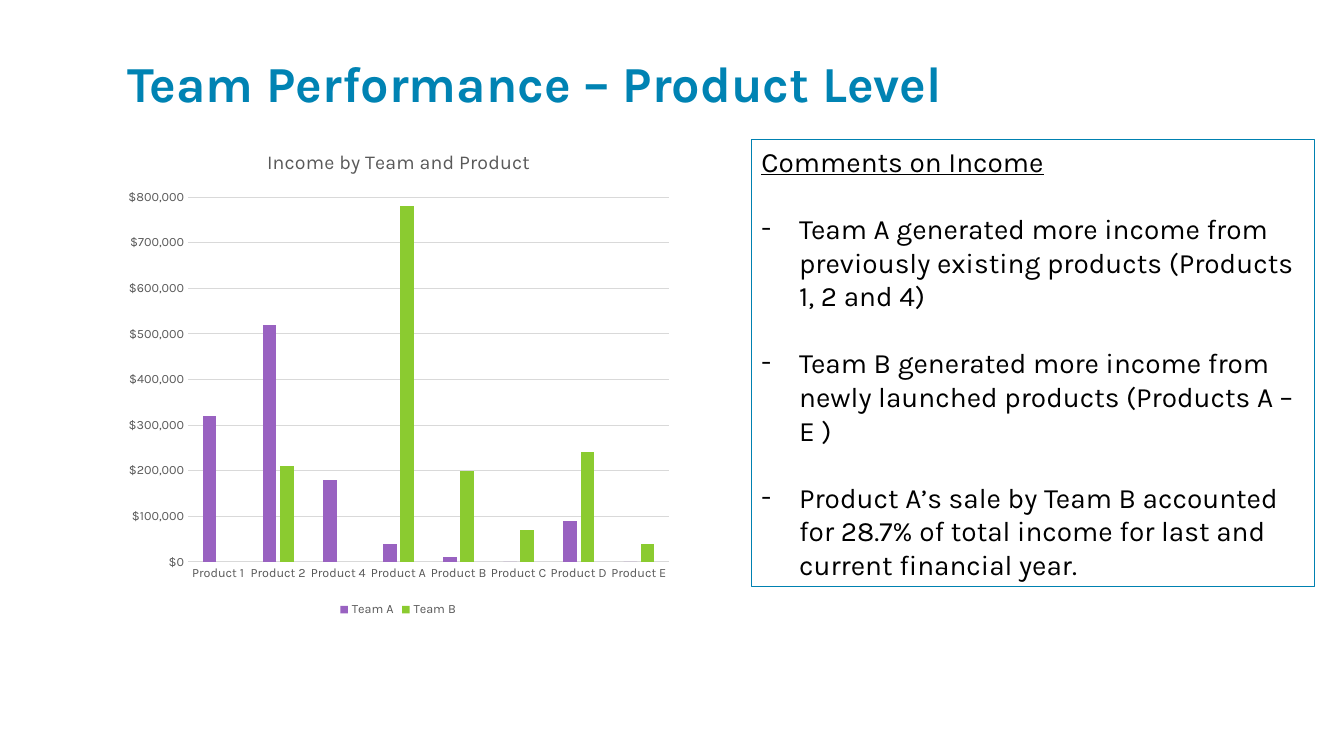
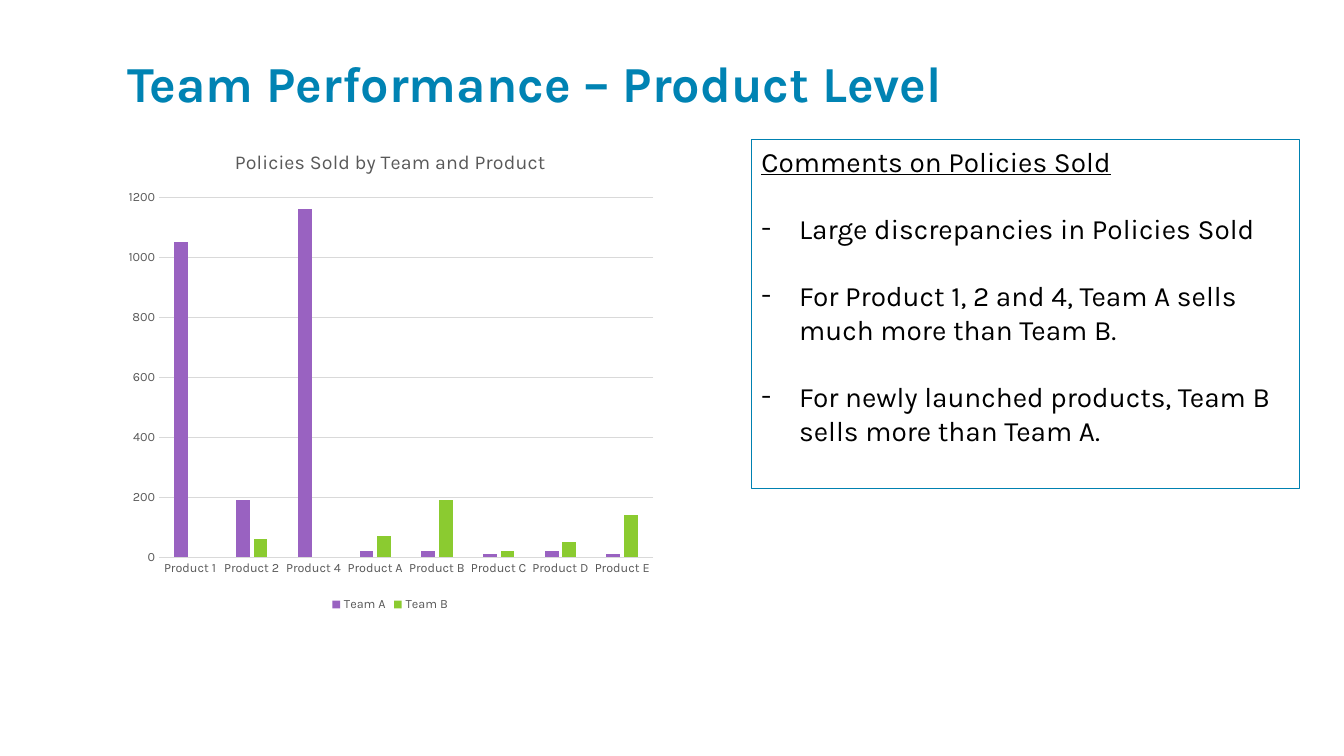
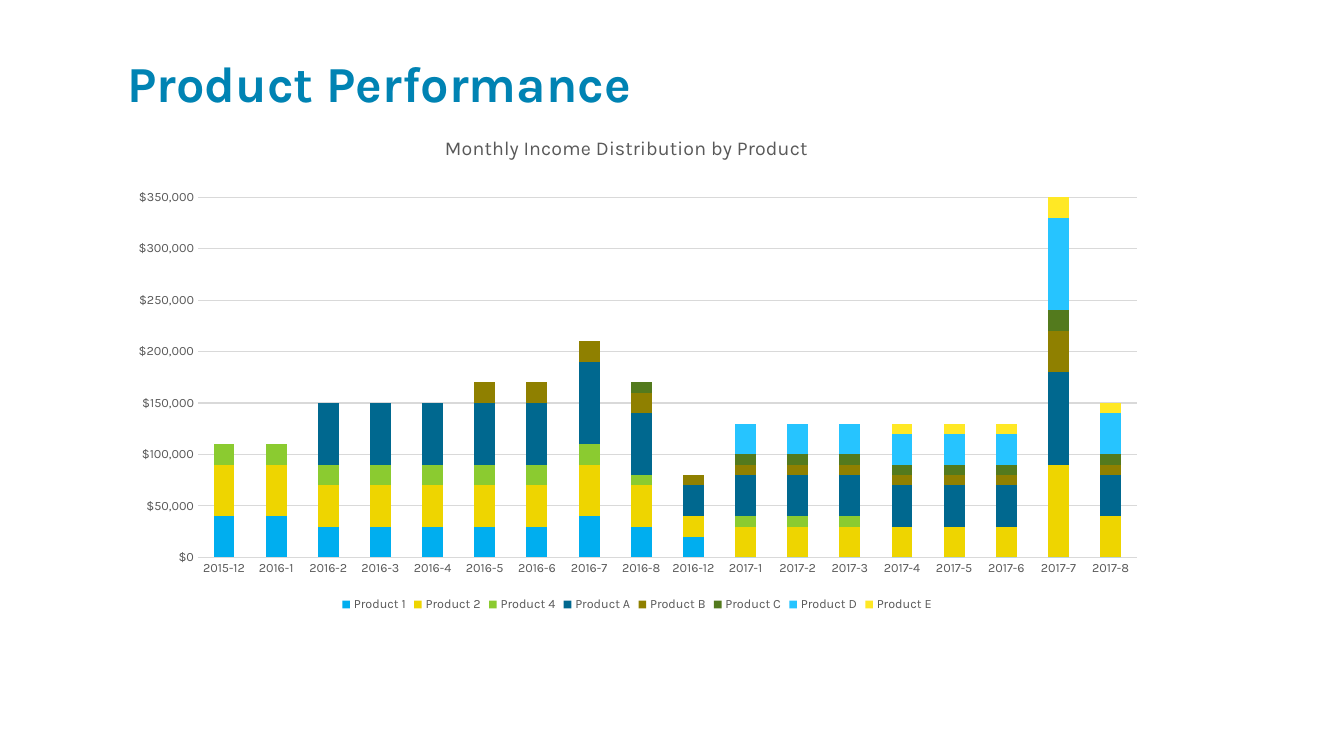
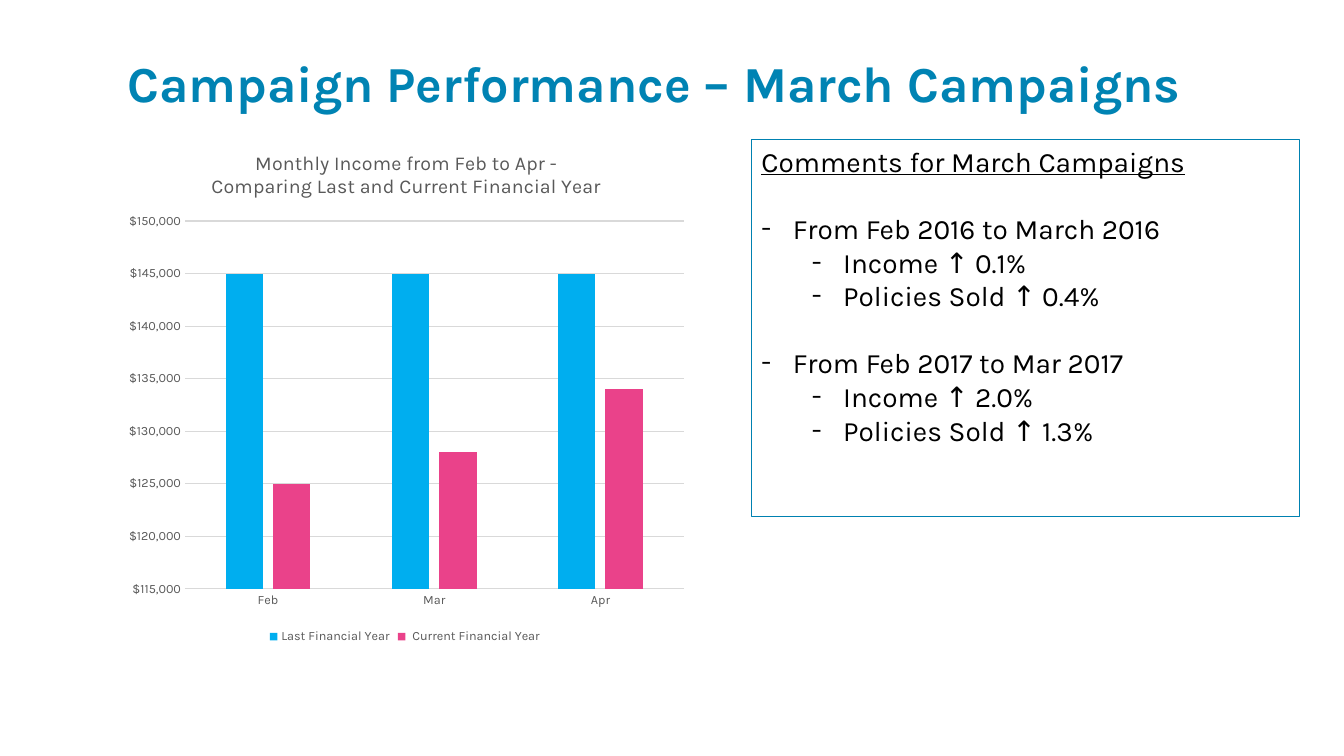
from lxml import etree
from pptx import Presentation
from pptx import util as u
from pptx.chart.data import CategoryChartData
from pptx.dml.color import RGBColor
from pptx.enum import chart as ch, shapes, text
from pptx.oxml.ns import qn

COLORS = {
    "title": "0083B3", "border": "0081B1", "text": "000000",
    "label": "595959", "grid": "D9D9D9",
    "purple": "9962C1", "green": "8BCB30", "blue": "00AEEF", "pink": "EA428A",
    "yellow": "EED500", "navy": "00688F", "olive": "8F8000",
    "forest": "537A1D", "sky": "26C4FF", "lemon": "FFE825",
}
FONT = "Karla"
DOLLARS = "[$$-4809]#,##0"
LEFT, CHART_TOP = 2.95, 3.33
COMMENTS_LEFT, COMMENTS_TOP = 18.94, 3.51
CLUSTERED = ch.XL_CHART_TYPE.COLUMN_CLUSTERED
STACKED = ch.XL_CHART_TYPE.COLUMN_STACKED


def rgb(name):
    return RGBColor.from_string(COLORS[name])


def set_attrs(obj, **values):
    for key, value in values.items():
        setattr(obj, key, value)


def style_font(font, size, color, **values):
    set_attrs(font, name=FONT, size=u.Pt(size), **values)
    font.color.rgb = rgb(color)


def style_line(line, color):
    line.color.rgb = rgb(color)
    line.width = u.Pt(0.75)


def thousands(*values):
    return [None if v is None else v * 1000 for v in values]


def manual_layout(**values):
    layout = etree.Element(qn("c:layout"))
    manual = etree.SubElement(layout, qn("c:manualLayout"))
    for key, value in values.items():
        etree.SubElement(manual, qn("c:" + key)).set("val", str(value))
    return layout


class Deck:
    def __init__(self):
        self.prs = Presentation()
        set_attrs(self.prs, slide_width=u.Cm(33.87), slide_height=u.Cm(19.05))
        self.s = None

    def slide(self, title, width=24.13):
        self.s = self.prs.slides.add_slide(self.prs.slide_layouts[5])
        sp = self.s.shapes.title
        set_attrs(sp, left=u.Cm(LEFT), top=u.Cm(1.47),
                  width=u.Cm(width), height=u.Cm(1.85))
        tf = sp.text_frame
        set_attrs(tf, text=title, word_wrap=True,
                  auto_size=text.MSO_AUTO_SIZE.NONE,
                  vertical_anchor=text.MSO_ANCHOR.TOP)
        p = tf.paragraphs[0]
        set_attrs(p, alignment=text.PP_ALIGN.LEFT, line_spacing=0.8)
        style_font(p.runs[0].font, 36, "title", bold=True)

    def chart(self, kind, title, title_at, size, plot_box, cats, series,
              scale, fmt=DOLLARS):
        """Column chart; title_at and plot_box are in cm on the slide."""
        data = CategoryChartData(number_format=fmt)
        data.categories = cats
        for name, _, values in series:
            data.add_series(name, values)
        width, height = size
        chart = self.s.shapes.add_chart(
            kind, u.Cm(LEFT), u.Cm(CHART_TOP), u.Cm(width), u.Cm(height),
            data).chart
        style_font(chart.font, 10, "text")

        tf = chart.chart_title.text_frame
        tf.text = title
        for p in tf.paragraphs:
            style_font(p.runs[0].font, 14, "label", bold=False)

        plot = chart.plots[0]
        stacked = kind == STACKED
        set_attrs(plot, vary_by_categories=False,
                  gap_width=150 if stacked else 219,
                  overlap=100 if stacked else -27)
        for ser, (_, color, _) in zip(plot.series, series):
            ser.format.fill.solid()
            ser.format.fill.fore_color.rgb = rgb(color)

        self.axes(chart, scale, fmt)
        chart.has_legend = True
        set_attrs(chart.legend, include_in_layout=False,
                  position=ch.XL_LEGEND_POSITION.BOTTOM)
        style_font(chart.legend.font, 9, "label")
        self.place(chart, title_at, size, plot_box)

    def axes(self, chart, scale, fmt):
        cat, val = chart.category_axis, chart.value_axis
        for axis in (cat, val):
            set_attrs(axis, major_tick_mark=ch.XL_TICK_MARK.NONE,
                      minor_tick_mark=ch.XL_TICK_MARK.NONE)
            style_font(axis.tick_labels.font, 9, "label")
        style_line(cat.format.line, "grid")
        val.format.line.fill.background()
        style_line(val.major_gridlines.format.line, "grid")
        low, high, step = scale
        set_attrs(val, minimum_scale=low, maximum_scale=high, major_unit=step)
        set_attrs(val.tick_labels, number_format=fmt,
                  number_format_is_linked=False)

    def place(self, chart, title_at, size, plot_box):
        """Fix the chart title and the inner plot area."""
        width, height = size

        def fractions(left, top):
            return {"x": round((left - LEFT) / width, 4),
                    "y": round((top - CHART_TOP) / height, 4)}

        title = chart.chart_title._element
        area = chart._chartSpace.chart.plotArea
        for parent in (title, area):
            for old in parent.findall(qn("c:layout")):
                parent.remove(old)
        title.find(qn("c:tx")).addnext(
            manual_layout(xMode="edge", yMode="edge", **fractions(*title_at)))
        left, top, w, h = plot_box
        area.insert(0, manual_layout(
            layoutTarget="inner", xMode="edge", yMode="edge",
            **fractions(left, top),
            w=round(w / width, 4), h=round(h / height, 4)))

    def comments(self, heading, items, size, hang=0.95):
        """Outlined box; items are (level, text) pairs."""
        width, height = size
        sp = self.s.shapes.add_shape(
            shapes.MSO_SHAPE.RECTANGLE, u.Cm(COMMENTS_LEFT),
            u.Cm(COMMENTS_TOP), u.Cm(width), u.Cm(height))
        sp.shadow.inherit = False
        sp.fill.background()
        style_line(sp.line, "border")
        tf = sp.text_frame
        set_attrs(tf, word_wrap=True, vertical_anchor=text.MSO_ANCHOR.TOP)
        self.paragraph(tf.paragraphs[0], heading, underline=True)
        for level, words in items:
            p = tf.add_paragraph()
            p.level = level
            self.paragraph(p, words)
            if level == 0:
                p.space_before = u.Pt(24)
            pPr = p._p.get_or_add_pPr()
            pPr.set("marL", str(u.Cm(hang + 1.27 * level)))
            pPr.set("indent", str(-u.Cm(hang)))
            etree.SubElement(pPr, qn("a:buFont")).set("typeface", FONT)
            etree.SubElement(pPr, qn("a:buChar")).set("char", "-")

    def paragraph(self, p, words, **values):
        p.alignment = text.PP_ALIGN.LEFT
        r = p.add_run()
        r.text = words
        style_font(r.font, 20, "text", **values)


def main():
    deck = Deck()
    products = ["Product " + c for c in "124ABCDE"]

    deck.slide("Team Performance – Product Level")
    deck.chart(
        CLUSTERED, "Income by Team and Product", (6.64, 3.68), (14.17, 12.32),
        (4.74, 4.97, 12.12, 9.19), products,
        [("Team A", "purple", thousands(320, 520, 180, 40, 10, 0, 90, 0)),
         ("Team B", "green",
          thousands(None, 210, None, 780, 200, 70, 240, 40))],
        (0, 800000, 100000))
    deck.comments("Comments on Income", [
        (0, "Team A generated more income from previously existing products "
            "(Products 1, 2 and 4)"),
        (0, "Team B generated more income from newly launched products "
            "(Products A – E )"),
        (0, "Product A’s sale by Team B accounted for 28.7% of total income "
            "for last and current financial year."),
    ], (14.2, 11.28))

    deck.slide("Team Performance – Product Level")
    deck.chart(
        CLUSTERED, "Policies Sold by Team and Product", (5.83, 3.68),
        (13.77, 12.19), (4.01, 4.97, 12.45, 9.08), products,
        [("Team A", "purple", [1050, 190, 1160, 20, 20, 10, 20, 10]),
         ("Team B", "green", [None, 60, None, 70, 190, 20, 50, 140])],
        (0, 1200, 200), fmt="0")
    deck.comments("Comments on Policies Sold", [
        (0, "Large discrepancies in Policies Sold"),
        (0, "For Product 1, 2 and 4, Team A sells much more than Team B."),
        (0, "For newly launched products, Team B sells more than Team A."),
    ], (13.82, 8.81))

    deck.slide("Product Performance")
    months = (["2015-12"] + [f"2016-{m}" for m in (*range(1, 9), 12)]
              + [f"2017-{m}" for m in range(1, 9)])
    product_colors = ["blue", "yellow", "green", "navy",
                      "olive", "forest", "sky", "lemon"]
    income = [
        (40, 40, 30, 30, 30, 30, 30, 40, 30, 20, 0, 0, 0, 0, 0, 0, 0, 0),
        (50, 50, 40, 40, 40, 40, 40, 50, 40, 20, 30, 30, 30, 30, 30, 30, 90,
         40),
        (20, 20, 20, 20, 20, 20, 20, 20, 10, 0, 10, 10, 10, 0, 0, 0, 0, 0),
        (0, 0, 60, 60, 60, 60, 60, 80, 60, 30, 40, 40, 40, 40, 40, 40, 90, 40),
        (0, 0, 0, 0, 0, 20, 20, 20, 20, 10, 10, 10, 10, 10, 10, 10, 40, 10),
        (0, 0, 0, 0, 0, 0, 0, 0, 10, 0, 10, 10, 10, 10, 10, 10, 20, 10),
        (0, 0, 0, 0, 0, 0, 0, 0, 0, 0, 30, 30, 30, 30, 30, 30, 90, 40),
        (0, 0, 0, 0, 0, 0, 0, 0, 0, 0, 0, 0, 0, 10, 10, 10, 20, 10),
    ]
    deck.chart(
        STACKED, "Monthly Income Distribution by Product", (11.12, 3.31),
        (26.21, 12.19), (4.99, 4.97, 23.66, 9.08), months,
        [(name, color, thousands(*row))
         for name, color, row in zip(products, product_colors, income)],
        (0, 350000, 50000))

    deck.slide("Campaign Performance – March Campaigns", width=27.18)
    deck.chart(
        CLUSTERED,
        "Monthly Income from Feb to Apr -\n"
        "Comparing Last and Current Financial Year",
        (5.25, 3.71), (14.58, 13), (4.66, 5.57, 12.57, 9.27),
        ["Feb", "Mar", "Apr"],
        [("Last Financial Year", "blue", thousands(145, 145, 145)),
         (" Current Financial Year ", "pink", thousands(125, 128, 134))],
        (115000, 150000, 5000))
    deck.comments("Comments for March Campaigns", [
        (0, "From Feb 2016 to March 2016"),
        (1, "Income ↑ 0.1%"),
        (1, "Policies Sold ↑ 0.4%"),
        (0, "From Feb 2017 to Mar 2017"),
        (1, "Income ↑ 2.0%"),
        (1, "Policies Sold ↑ 1.3%"),
    ], (13.82, 9.5), hang=0.79)

    deck.prs.save("out.pptx")


if __name__ == "__main__":
    main()
